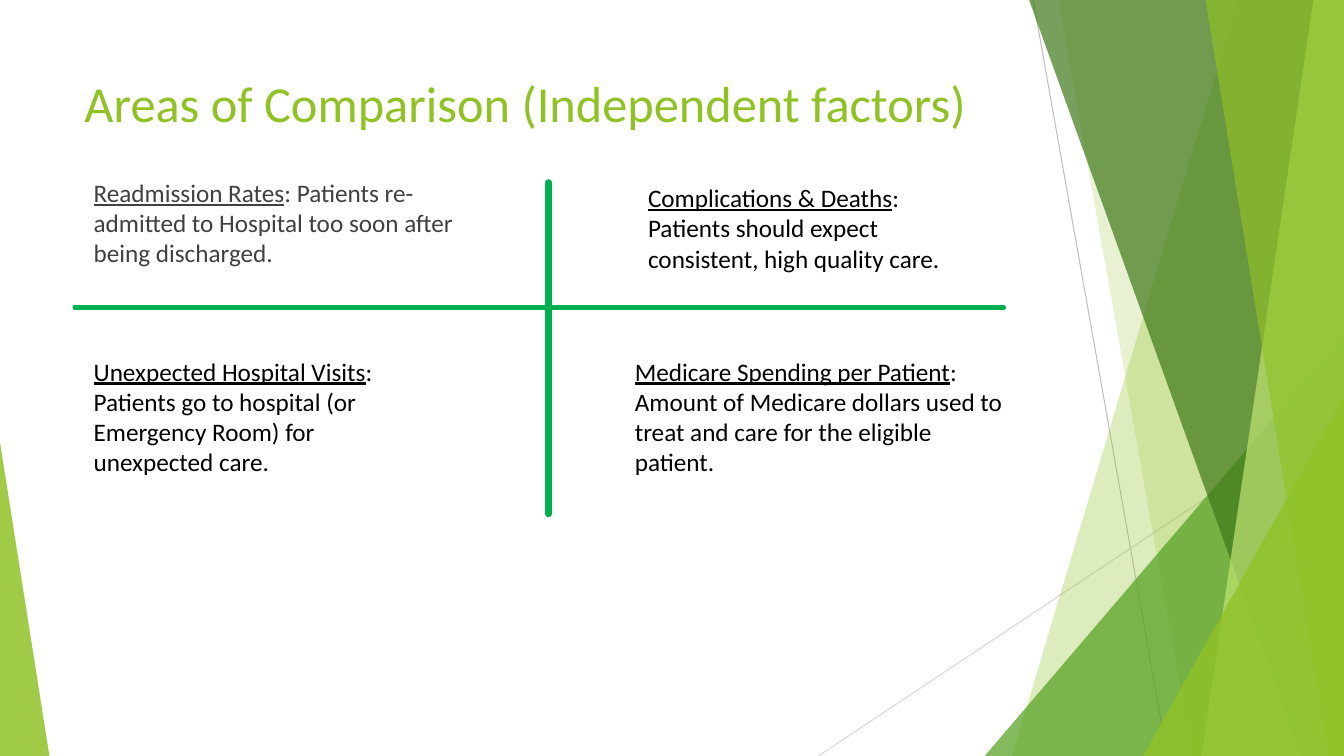
from collections import namedtuple

from lxml import etree
from pptx import Presentation
from pptx.dml.color import RGBColor
from pptx.enum.shapes import MSO_CONNECTOR, MSO_SHAPE
from pptx.oxml.ns import qn
from pptx.util import Pt

STRAIGHT = MSO_CONNECTOR.STRAIGHT
TRIANGLE = MSO_SHAPE.ISOSCELES_TRIANGLE
FONT = "Calibri"
COLORS = {
    "lime": "90C226",
    "leaf": "54A021",
    "forest": "3F7819",
    "pale": "C0E474",
    "cross": "00B050",
    "line_dark": "BFBFBF",
    "line_light": "D9D9D9",
    "gray": "404040",
    "black": "000000",
}
Box = namedtuple("Box", "left top width height")
SLIDE_BOX = Box(0, 0, 960, 540)
COMPARISON_BOX = Box(53.3, 48.2, 680, 319)


def rgb(name):
    """Return the named palette colour."""
    return RGBColor.from_string(COLORS[name])


def paint(shape, color, opacity):
    """Give a shape a translucent fill without outline or shadow."""
    shape.shadow.inherit = False
    shape.fill.solid()
    shape.fill.fore_color.rgb = rgb(color)
    shape.line.fill.background()
    color_element = shape.fill._xPr.find(qn("a:solidFill"))[0]
    etree.SubElement(color_element, qn("a:alpha"), val=str(opacity * 1000))


def add_line(slide, start, end, color, width, cap="flat"):
    """Draw a straight line between two points."""
    connector = slide.shapes.add_connector(
        STRAIGHT, *(Pt(value) for value in (*start, *end)))
    connector.line.color.rgb = rgb(color)
    connector.line.width = Pt(width)
    connector.line._get_or_add_ln().set("cap", cap)
    etree.SubElement(connector._element.spPr, qn("a:effectLst"))


def add_ribbon(slide, box, top_inset, bottom_inset, color, opacity):
    """Fill from a slanted edge to the right side of the box."""
    right, bottom = box.left + box.width, box.top + box.height
    corners = [(right, box.top), (right, bottom), (right - bottom_inset, bottom)]
    builder = slide.shapes.build_freeform(Pt(right - top_inset), Pt(box.top))
    builder.add_line_segments([(Pt(x), Pt(y)) for x, y in corners], close=True)
    paint(builder.convert_to_shape(), color, opacity)


def add_corner(slide, box, width, height, color, opacity, at_right=True):
    """Place a right triangle in a bottom corner of the box."""
    left = box.left + (box.width - width if at_right else 0)
    top = box.top + box.height - height
    triangle = slide.shapes.add_shape(
        TRIANGLE, Pt(left), Pt(top), Pt(width), Pt(height))
    triangle.adjustments[0] = 1 if at_right else 0
    paint(triangle, color, opacity)


def add_facets(slide, box):
    """Draw the layered green facets and fine lines at the sides."""
    right, bottom = box.left + box.width, box.top + box.height
    add_line(slide, (right - 222, box.top), (right - 126.2, bottom), "line_dark", 0.75)
    add_line(slide, (right, box.top + 290.2), (right - 375.4, bottom), "line_light", 0.75)
    add_ribbon(slide, box, 75.8, 237.1, "lime", 30)
    add_ribbon(slide, box, 204, 108.2, "lime", 20)
    add_corner(slide, box, 256.6, 300.2, "leaf", 72)
    add_ribbon(slide, box, 224.9, 30.5, "forest", 70)
    add_ribbon(slide, box, 21.8, 101.8, "pale", 70)
    add_ribbon(slide, box, 98.9, 11, "lime", 65)
    add_corner(slide, box, 143.5, 257, "lime", 80)
    add_corner(slide, box, 35.3, 223.9, "lime", 85, at_right=False)


def add_text(slide, box, paragraphs, size=18, color="black"):
    """Add a text box from paragraphs of (text, underlined) runs."""
    text_box = slide.shapes.add_textbox(*(Pt(value) for value in box))
    frame = text_box.text_frame
    frame.word_wrap = True
    for index, runs in enumerate(paragraphs):
        paragraph = frame.add_paragraph() if index else frame.paragraphs[0]
        for text, underlined in runs:
            run = paragraph.add_run()
            run.text = text
            run.font.name = FONT
            run.font.size = Pt(size)
            run.font.color.rgb = rgb(color)
            run.font.underline = underlined


def add_comparison(slide, box):
    """Place the title, the four factors and the dividing cross."""
    add_text(slide, Box(box.left, box.top, 676.8, 51.1),
             [[("Areas of Comparison (Independent factors)", False)]],
             size=36, color="lime")
    factors = [
        (Box(6.5, 74.9, 272.9, 78.5), "gray", "Readmission Rates",
         [": Patients re-admitted to Hospital too soon after being discharged."]),
        (Box(402.5, 78.5, 229, 72.7), "black", "Complications & Deaths",
         [": Patients should expect consistent, high quality care."]),
        (Box(6.5, 202.4, 244.8, 94.3), "black", "Unexpected Hospital Visits",
         [": Patients go to hospital (or Emergency Room) for unexpected care."]),
        (Box(393.1, 202.4, 284.4, 94.3), "black", "Medicare Spending per Patient",
         [":", "Amount of Medicare dollars used to treat and care for the eligible patient."]),
    ]
    for place, color, heading, texts in factors:
        paragraphs = [[(text, False)] for text in texts]
        paragraphs[0].insert(0, (heading, True))
        position = Box(box.left + place.left, box.top + place.top,
                       place.width, place.height)
        add_text(slide, position, paragraphs, color=color)
    middle_x, middle_y = box.left + 338.4, box.top + 171.4
    add_line(slide, (box.left, middle_y), (box.left + 663.8, middle_y),
             "cross", 3, cap="rnd")
    add_line(slide, (middle_x, box.top + 82.1), (middle_x, box.top + box.height),
             "cross", 4.5, cap="rnd")


def main():
    """Build and save the presentation."""
    presentation = Presentation()
    presentation.slide_width = Pt(SLIDE_BOX.width)
    presentation.slide_height = Pt(SLIDE_BOX.height)
    slide = presentation.slides.add_slide(presentation.slide_layouts[6])
    add_facets(slide, SLIDE_BOX)
    add_comparison(slide, COMPARISON_BOX)
    presentation.save("out.pptx")


if __name__ == "__main__":
    main()
